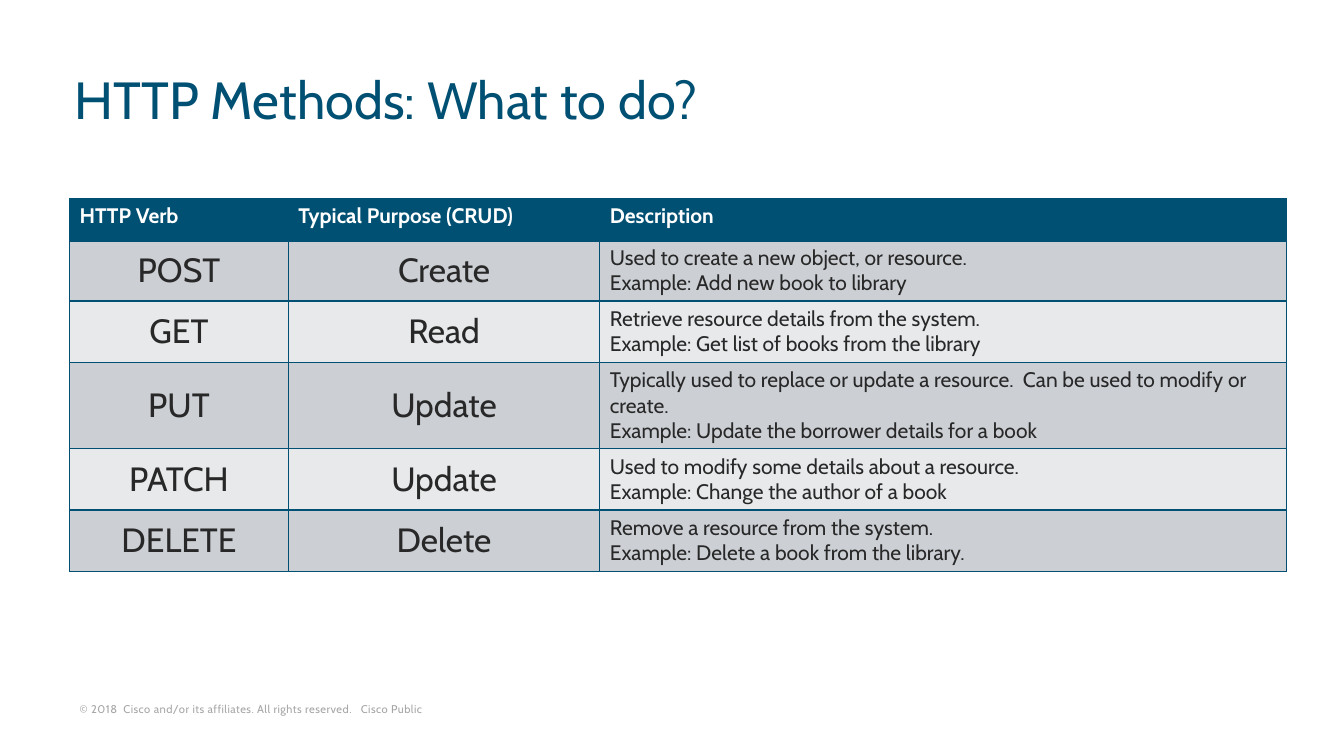
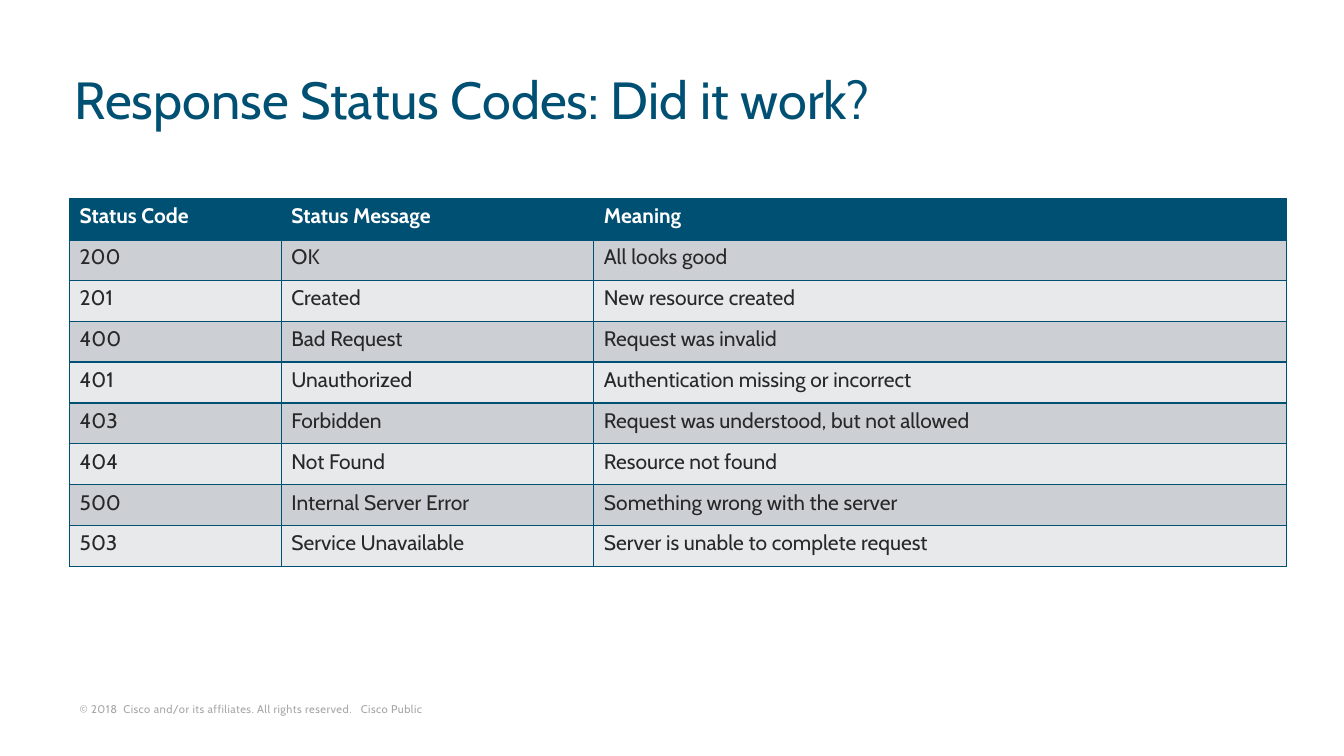
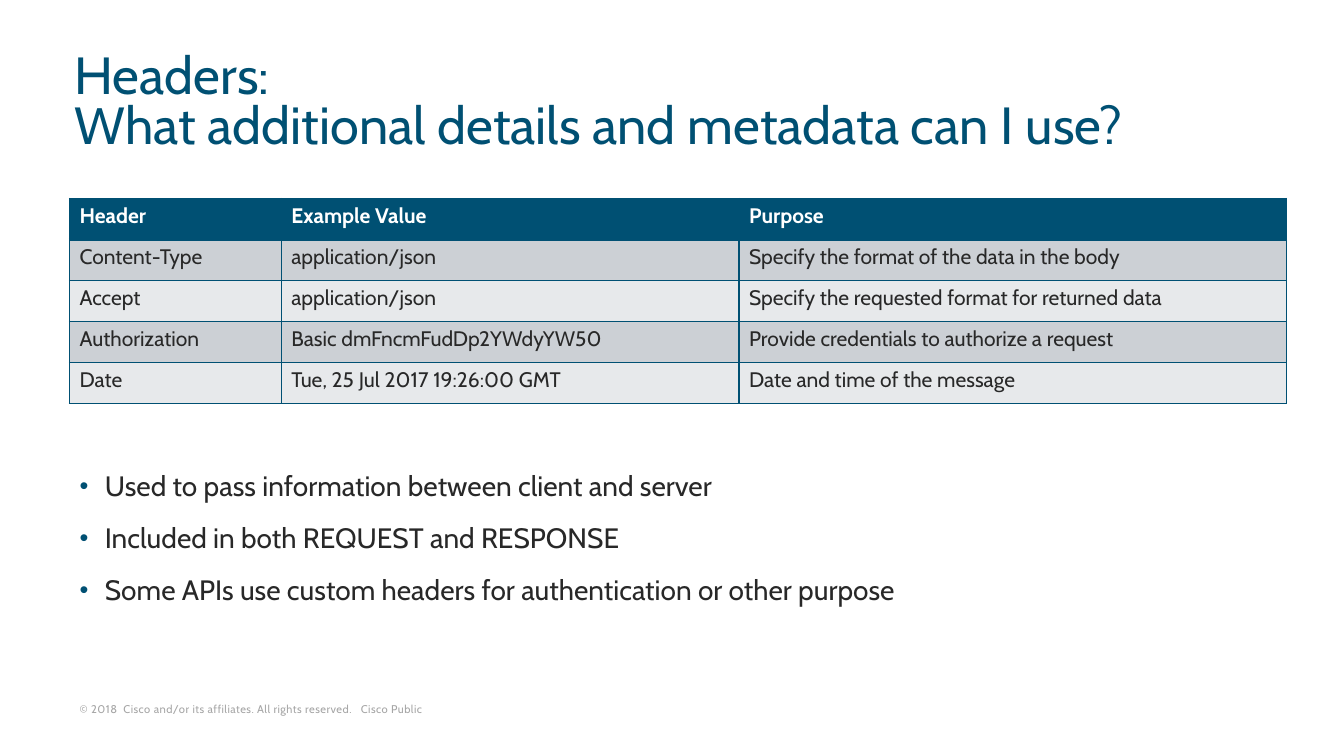
import copy
from dataclasses import dataclass

import lxml.etree
import pptx
import pptx.dml.color
import pptx.enum.text
import pptx.oxml.ns
import pptx.util

ALIGN = pptx.enum.text.PP_ALIGN
ANCHOR = pptx.enum.text.MSO_ANCHOR
qn = pptx.oxml.ns.qn

EMU_PER_PX = 9144  # 100 px to the inch


@dataclass(frozen=True)
class Theme:
    font: str = "Cabin"
    accent: str = "005073"
    ink: str = "282828"
    white: str = "FFFFFF"
    muted: str = "A6A6A6"
    bands: tuple = ("CCD0D5", "E7E9EB")
    title_size: float = 37.3
    verb_size: int = 24
    list_size: int = 20
    cell_size: int = 15
    footer_size: int = 8
    rule: int = 1
    heading_rule: int = 3


THEME = Theme()

SLIDE_SIZE = (1333, 750)
TITLE_BOX = (64, 50, 1217, 107)
FOOTER_BOX = (70, 691, 496, 23)
LIST_BOX = (69, 462, 1207, 163)
TABLE_LEFT, TABLE_TOP = 69, 197
FOOTER = "© 2018  Cisco and/or its affiliates. All rights reserved.   Cisco Public"

METHODS = [
    ("HTTP Verb", "Typical Purpose (CRUD)", "Description"),
    ("POST", "Create",
     "Used to create a new object, or resource.\nExample: Add new book to library"),
    ("GET", "Read",
     "Retrieve resource details from the system.\nExample: Get list of books from the library"),
    ("PUT", "Update",
     "Typically used to replace or update a resource.  Can be used to modify or create.\n"
     "Example: Update the borrower details for a book"),
    ("PATCH", "Update",
     "Used to modify some details about a resource.\nExample: Change the author of a book"),
    ("DELETE", "Delete",
     "Remove a resource from the system.\nExample: Delete a book from the library."),
]
STATUS_CODES = [
    ("Status Code", "Status Message", "Meaning"),
    ("200", "OK", "All looks good"),
    ("201", "Created", "New resource created"),
    ("400", "Bad Request", "Request was invalid"),
    ("401", "Unauthorized", "Authentication missing or incorrect"),
    ("403", "Forbidden", "Request was understood, but not allowed"),
    ("404", "Not Found", "Resource not found"),
    ("500", "Internal Server Error", "Something wrong with the server"),
    ("503", "Service Unavailable", "Server is unable to complete request"),
]
HEADERS = [
    ("Header", "Example Value", "Purpose"),
    ("Content-Type", "application/json", "Specify the format of the data in the body"),
    ("Accept", "application/json", "Specify the requested format for returned data"),
    ("Authorization", "Basic dmFncmFudDp2YWdyYW50", "Provide credentials to authorize a request"),
    ("Date", "Tue, 25 Jul 2017 19:26:00 GMT", "Date and time of the message"),
]
HEADER_NOTES = [
    "Used to pass information between client and server",
    "Included in both REQUEST and RESPONSE",
    "Some APIs use custom headers for authentication or other purpose",
]


def px(length):
    return pptx.util.Emu(round(length * EMU_PER_PX))


def rgb(colour):
    return pptx.dml.color.RGBColor.from_string(colour)


def add_bullet(paragraph):
    props = paragraph._p.get_or_add_pPr()
    props.set("marL", str(px(25)))
    props.set("indent", str(px(-25)))
    colour = lxml.etree.SubElement(props, qn("a:buClr"))
    lxml.etree.SubElement(colour, qn("a:srgbClr"), val=THEME.accent)
    lxml.etree.SubElement(props, qn("a:buSzPct"), val="90000")
    lxml.etree.SubElement(props, qn("a:buFont"), typeface="Arial")
    lxml.etree.SubElement(props, qn("a:buChar"), char="•")


def write(frame, text, size, colour=THEME.ink, bold=False, align=ALIGN.LEFT,
          line_spacing=None, space_before=0, bulleted=False, tracking=None):
    """Fill a frame: newlines part paragraphs, vertical tabs break lines."""
    for index, line in enumerate(text.split("\n")):
        paragraph = frame.add_paragraph() if index else frame.paragraphs[0]
        if bulleted:
            add_bullet(paragraph)
        paragraph.text = line
        paragraph.alignment = align
        paragraph.space_before = pptx.util.Pt(space_before if index else 0)
        if line_spacing:
            paragraph.line_spacing = line_spacing
        for run in paragraph.runs:
            run.font.name = THEME.font
            run.font.size = pptx.util.Pt(size)
            run.font.bold = bold
            run.font.color.rgb = rgb(colour)
            if tracking:
                run._r.get_or_add_rPr().set("spc", str(tracking))
        # Line breaks take the height of the text around them
        for line_break in paragraph._p.findall(qn("a:br")):
            line_break.append(copy.deepcopy(paragraph.runs[0]._r.rPr))


def place(shape, box):
    shape.left, shape.top, shape.width, shape.height = map(px, box)


def set_frame(frame, anchor, margin_x=10, margin_y=5):
    frame.word_wrap = True
    frame.auto_size = pptx.enum.text.MSO_AUTO_SIZE.NONE
    frame.vertical_anchor = anchor
    frame.margin_left = frame.margin_right = px(margin_x)
    frame.margin_top = frame.margin_bottom = px(margin_y)


def add_title(slide, text, box):
    title = slide.shapes.title
    place(title, box)
    set_frame(title.text_frame, ANCHOR.MIDDLE)
    write(title.text_frame, text, size=THEME.title_size, colour=THEME.accent,
          line_spacing=0.8)


def add_footer(slide, box):
    footer = slide.shapes.add_textbox(*map(px, box))
    set_frame(footer.text_frame, ANCHOR.BOTTOM, margin_x=9, margin_y=4)
    write(footer.text_frame, FOOTER, size=THEME.footer_size, colour=THEME.muted,
          tracking=30)


def add_list(slide, items, box):
    notes = slide.placeholders[1]
    place(notes, box)
    set_frame(notes.text_frame, ANCHOR.TOP)
    write(notes.text_frame, "\n".join(items), size=THEME.list_size,
          line_spacing=0.95, space_before=14.3, bulleted=True)


def set_borders(cell, top, bottom):
    props = cell._tc.get_or_add_tcPr()
    widths = {"lnL": THEME.rule, "lnR": THEME.rule, "lnT": top, "lnB": bottom}
    for side, width in widths.items():
        line = lxml.etree.SubElement(props, qn("a:" + side), w=str(pptx.util.Pt(width)))
        fill = lxml.etree.SubElement(line, qn("a:solidFill"))
        lxml.etree.SubElement(fill, qn("a:srgbClr"), val=THEME.accent)


def add_grid(slide, rows, left, top, widths, heights, large_columns=0):
    """Add a banded table; the first large_columns are centred in large type."""
    grid = slide.shapes.add_table(len(rows), len(widths), px(left), px(top),
                                  px(sum(widths)), px(sum(heights))).table
    for column, width in zip(grid.columns, widths):
        column.width = px(width)
    for r, (row, height) in enumerate(zip(rows, heights)):
        grid.rows[r].height = px(height)
        heading = r == 0
        for c, text in enumerate(row):
            cell = grid.cell(r, c)
            set_borders(cell,
                        top=THEME.heading_rule if r == 1 else THEME.rule,
                        bottom=THEME.heading_rule if heading else THEME.rule)
            cell.fill.solid()
            cell.fill.fore_color.rgb = rgb(THEME.accent if heading else THEME.bands[(r - 1) % 2])
            large = not heading and c < large_columns
            cell.vertical_anchor = ANCHOR.MIDDLE if large else ANCHOR.TOP
            write(cell.text_frame, text, bold=heading,
                  size=THEME.verb_size if large else THEME.cell_size,
                  colour=THEME.white if heading else THEME.ink,
                  align=ALIGN.CENTER if large else ALIGN.LEFT)


def add_table_slide(deck, title, rows, widths, heights, large_columns=0, notes=None):
    layout = deck.slide_layouts[1 if notes else 5]
    slide = deck.slides.add_slide(layout)
    add_footer(slide, FOOTER_BOX)
    add_grid(slide, rows, TABLE_LEFT, TABLE_TOP, widths, heights, large_columns)
    add_title(slide, title, TITLE_BOX)
    if notes:
        add_list(slide, notes, LIST_BOX)


def even_rows(rows, height):
    return [height / len(rows)] * len(rows)


def main():
    deck = pptx.Presentation()
    deck.slide_width, deck.slide_height = map(px, SLIDE_SIZE)

    add_table_slide(deck, "HTTP Methods: What to do?", METHODS,
                    widths=(217, 309, 681), heights=(41, 60, 60, 85, 60, 60),
                    large_columns=2)
    add_table_slide(deck, "Response Status Codes: Did it work?", STATUS_CODES,
                    widths=(210, 310, 687), heights=even_rows(STATUS_CODES, 365))
    add_table_slide(deck, "Headers:\vWhat additional details and metadata can I use?", HEADERS,
                    widths=(210, 454, 543), heights=even_rows(HEADERS, 203),
                    notes=HEADER_NOTES)

    deck.save("out.pptx")


if __name__ == "__main__":
    main()
